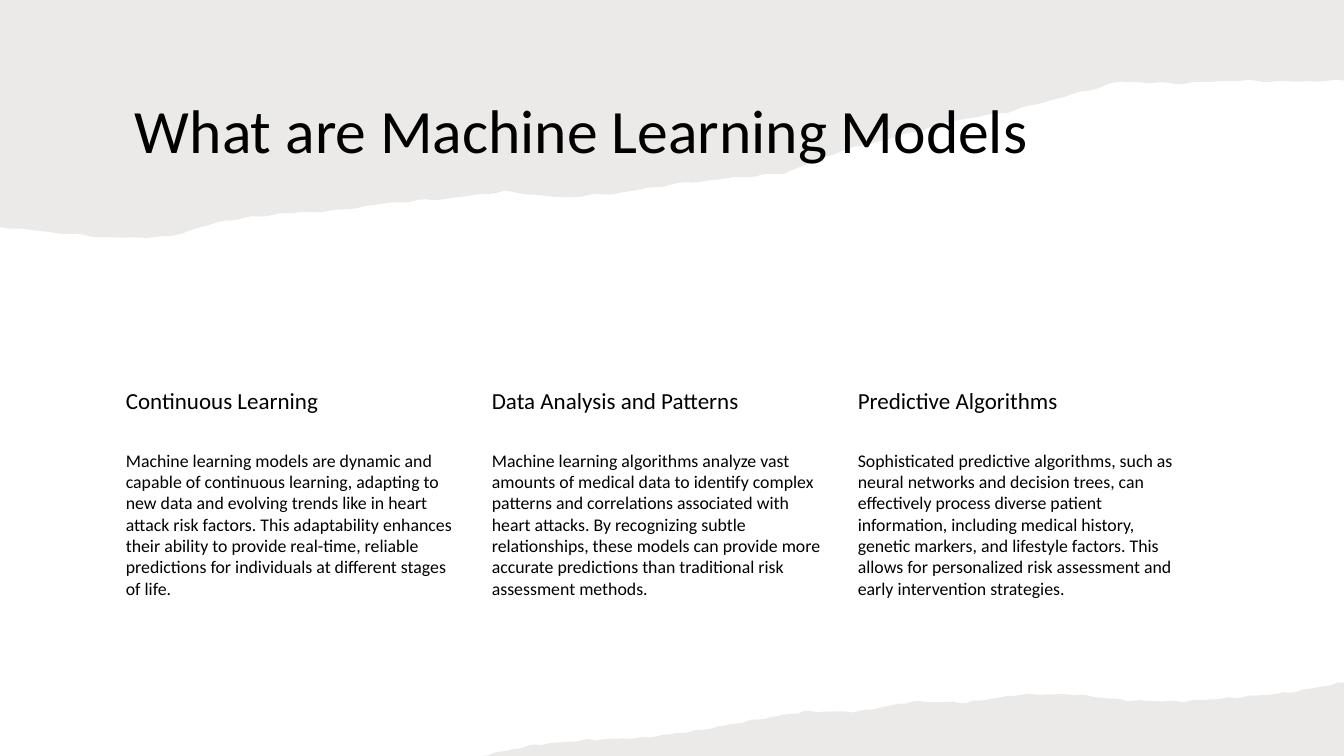
from math import pi, sin

from lxml import etree
from pptx import Presentation
from pptx.dml.color import RGBColor
from pptx.enum.text import MSO_ANCHOR
from pptx.oxml.ns import qn
from pptx.util import Inches, Pt

TOP, MIDDLE = MSO_ANCHOR.TOP, MSO_ANCHOR.MIDDLE
BLACK = RGBColor(0x00, 0x00, 0x00)
WHITE = RGBColor(0xFF, 0xFF, 0xFF)
TAUPE = RGBColor(0x82, 0x76, 0x6A)
FONT = "Calibri"
WIDE, HIGH = 13.33, 7.5

# Depth of each torn edge below the top of its box, at equal steps across
UPPER = [2.25, 2.31, 2.36, 2.35, 2.19, 2.12, 2.09, 2.01, 1.97, 1.9, 1.96, 1.92, 1.83,
         1.77, 1.72, 1.5, 1.36, 1.2, 1.11, 0.96, 0.81, 0.83, 0.8, 0.81, 0.8]
LOWER = [0.73, 0.62, 0.57, 0.55, 0.48, 0.38, 0.29, 0.29, 0.19, 0.2, 0.12, 0.12, 0.18,
         0.19, 0.15, 0.1, 0]
STEPS = 8       # points drawn for each step of an edge
ROUGH = 0.01    # size of the ripples, in inches

TOPICS = [
    ("Continuous Learning",
     "Machine learning models are dynamic and capable of continuous learning, "
     "adapting to new data and evolving trends like in heart attack risk factors. "
     "This adaptability enhances their ability to provide real-time, reliable "
     "predictions for individuals at different stages of life."),
    ("Data Analysis and Patterns",
     "Machine learning algorithms analyze vast amounts of medical data to identify "
     "complex patterns and correlations associated with heart attacks. By recognizing "
     "subtle relationships, these models can provide more accurate predictions than "
     "traditional risk assessment methods."),
    ("Predictive Algorithms",
     "Sophisticated predictive algorithms, such as neural networks and decision trees, "
     "can effectively process diverse patient information, including medical history, "
     "genetic markers, and lifestyle factors. This allows for personalized risk "
     "assessment and early intervention strategies."),
]


def add_text(slide, text, box, size, anchor=TOP, after=0, lines=None):
    frame = slide.shapes.add_textbox(*map(Inches, box)).text_frame
    frame.word_wrap = True
    frame.vertical_anchor = anchor
    para = frame.paragraphs[0]
    para.space_after = Pt(after)
    para.line_spacing = lines
    run = para.add_run()
    run.text = text
    run.font.size = Pt(size)
    run.font.name = FONT
    run.font.color.rgb = BLACK


def tear(depths, box):
    """Join the depths across the box, with ripples that fade out at both ends."""
    left, top, width, _ = box
    total = (len(depths) - 1) * STEPS
    points = []
    for n in range(total + 1):
        i, part = divmod(n, STEPS)
        here = depths[i]
        after = depths[min(i + 1, len(depths) - 1)]
        turn = 2 * pi * n / total
        ripple = ROUGH * (sin(31 * turn) + sin(47 * turn)) / 2
        depth = here + (after - here) * part / STEPS + ripple
        points.append((left + width * n / total, top + depth))
    return points


def add_paper(slide, depths, box, flat):
    """Fill from a torn edge to the flat side of the box: 0 is its top, 1 its foot."""
    left, top, width, height = box
    side = top + flat * height
    outline = tear(depths, box) + [(left + width, side), (left, side)]
    start, *rest = [(Inches(x), Inches(y)) for x, y in outline]
    pen = slide.shapes.build_freeform(*start)
    pen.add_line_segments(rest, close=True)
    paper = pen.convert_to_shape()
    paper.shadow.inherit = False
    paper.line.fill.background()
    paper.fill.solid()
    paper.fill.fore_color.rgb = TAUPE
    color = paper.element.spPr.find(".//" + qn("a:srgbClr"))
    etree.SubElement(color, qn("a:alpha"), val="15000")


def add_topics(slide, box, gap, head):
    """Set the topics in equal columns, each a heading over its text."""
    left, top, width, height = box
    pitch = (width + gap) / len(TOPICS)
    col = pitch - gap
    for i, (title, body) in enumerate(TOPICS):
        x = left + i * pitch
        add_text(slide, title, (x, top, col, head), 16.4, after=6)
        add_text(slide, body, (x, top + head, col, height - head), 12.7, after=6)


def main():
    deck = Presentation()
    deck.slide_width, deck.slide_height = Inches(WIDE), Inches(HIGH)
    slide = deck.slides.add_slide(deck.slide_layouts[6])
    slide.background.fill.solid()
    slide.background.fill.fore_color.rgb = WHITE

    # Upper paper and title
    add_paper(slide, UPPER, (0, 0, WIDE, 2.38), flat=0)
    add_text(slide, "What are Machine Learning Models", (1.24, 0.81, 10.14, 1.04),
             44, anchor=MIDDLE, lines=0.9)

    # Lower paper and topics
    add_paper(slide, LOWER, (4.77, 6.77, 8.56, 0.73), flat=1)
    add_topics(slide, (1.15, 3.79, 10.73, 1.45), gap=0.16, head=0.62)

    deck.save("out.pptx")


if __name__ == "__main__":
    main()
